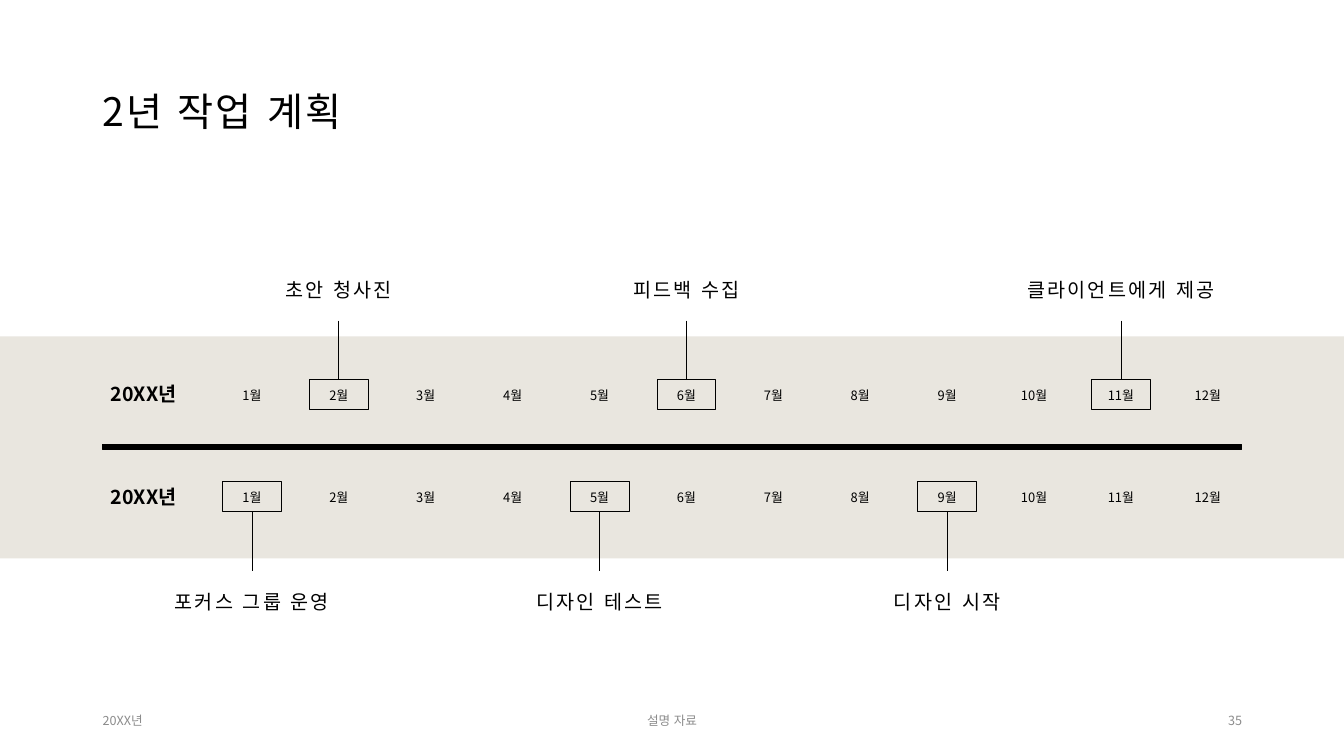
from dataclasses import dataclass

from lxml.etree import SubElement
from pptx import Presentation
from pptx.dml.color import RGBColor as RGB
from pptx.enum.shapes import MSO_CONNECTOR as CONN, MSO_SHAPE as SHAPE
from pptx.enum.text import MSO_ANCHOR as ANCHOR, MSO_AUTO_SIZE as AUTOSIZE, PP_ALIGN as ALIGN
from pptx.oxml.ns import qn
from pptx.util import Cm, Pt


@dataclass(frozen=True)
class Theme:
    """Colours, font and type sizes of the slide."""
    font: str = "Noto Sans CJK KR"
    ink: RGB = RGB(0x00, 0x00, 0x00)
    band: RGB = RGB(0xE9, 0xE6, 0xDF)
    muted: RGB = RGB(0x8C, 0x8C, 0x8C)
    title: float = 28
    label: float = 14
    month: float = 9.2
    footer: float = 9


@dataclass(frozen=True)
class YearRow:
    """Vertical positions in cm and milestones by month of one year."""
    year_top: float
    month_top: float
    marker_top: float
    stem: tuple
    caption_top: float
    caption_anchor: ANCHOR
    milestones: dict


THEME = Theme()
SLIDE_W, SLIDE_H = 33.87, 19.05
FIRST_MONTH, MONTH_STEP = 6.35, 2.19
MONTH_W, MARKER_W, CAPTION_W = 1.78, 1.48, 5.72
ROWS = (
    YearRow(9.32, 9.73, 9.55, (8.08, 9.55), 6.17, ANCHOR.BOTTOM,
            {2: "초안 청사진", 6: "피드백 수집", 11: "클라이언트에게 제공"}),
    YearRow(11.91, 12.29, 12.12, (12.88, 14.38), 14.45, ANCHOR.TOP,
            {1: "포커스 그룹 운영", 5: "디자인 테스트", 9: "디자인 시작"}),
)


def month_center(month):
    """Return the horizontal centre of a month in cm."""
    return FIRST_MONTH + (month - 1) * MONTH_STEP


def write(sp, text, size, color=THEME.ink, bold=False, align=ALIGN.LEFT,
          anchor=ANCHOR.MIDDLE, leading=1.0, before=0, tracking=0):
    """Put one formatted paragraph into a shape."""
    tf = sp.text_frame
    tf.word_wrap = True
    tf.auto_size = AUTOSIZE.NONE
    tf.vertical_anchor = anchor
    p = tf.paragraphs[0]
    p.alignment, p.line_spacing, p.space_before = align, leading, Pt(before)
    r = p.add_run()
    r.text = text
    r.font.name, r.font.size, r.font.bold = THEME.font, Pt(size), bold
    r.font.color.rgb = color
    rpr = r.font._element
    rpr.set("lang", "ko-KR")
    rpr.set("spc", str(round(tracking * 100)))
    SubElement(rpr, qn("a:ea")).set("typeface", THEME.font)


def add_text(s, box, text, size, **fmt):
    """Add a text box at a left, top, width, height in cm."""
    write(s.shapes.add_textbox(*map(Cm, box)), text, size, **fmt)


def add_rect(s, box, fill=None, line=None):
    """Add a rectangle with an optional fill colour and line width."""
    sp = s.shapes.add_shape(SHAPE.RECTANGLE, *map(Cm, box))
    sp.shadow.inherit = False
    if fill is None:
        sp.fill.background()
    else:
        sp.fill.solid()
        sp.fill.fore_color.rgb = fill
    if line is None:
        sp.line.fill.background()
    else:
        sp.line.color.rgb = THEME.ink
        sp.line.width = Pt(line)


def add_stem(s, x, top, bottom):
    """Add a thin vertical line."""
    line = s.shapes.add_connector(CONN.STRAIGHT, Cm(x), Cm(top), Cm(x), Cm(bottom))
    line.line.color.rgb = THEME.ink
    line.line.width = Pt(0.5)
    SubElement(line._element.spPr, qn("a:effectLst"))


def add_title(s, text):
    """Move and fill the title placeholder."""
    sp = s.shapes.title
    sp.left, sp.top, sp.width, sp.height = map(Cm, (2.34, 1.02, 29.21, 3.68))
    write(sp, text, THEME.title, leading=0.9, tracking=1.5)


def add_milestone(s, row, month, caption):
    """Add the caption, stem and frame of one marked month."""
    x = month_center(month)
    add_text(s, (x - CAPTION_W / 2, row.caption_top, CAPTION_W, 1.55), caption,
             THEME.label, align=ALIGN.CENTER, anchor=row.caption_anchor,
             leading=1.5, before=10, tracking=1.5)
    add_stem(s, x, *row.stem)
    add_rect(s, (x - MARKER_W / 2, row.marker_top, MARKER_W, 0.76), line=0.5)


def add_year(s, row):
    """Add the year label, its twelve months and its milestones."""
    add_text(s, (2.54, row.year_top, 2.49, 1.27), "20XX년", THEME.label,
             bold=True, leading=0.9, before=10)
    for month in range(1, 13):
        left = month_center(month) - MONTH_W / 2
        add_text(s, (left, row.month_top, MONTH_W, 0.56), f"{month}월", THEME.month,
                 align=ALIGN.CENTER, anchor=ANCHOR.TOP, leading=0.8, before=10)
    for month, caption in row.milestones.items():
        add_milestone(s, row, month, caption)


def add_footer(s):
    """Add the date, footer text and page number."""
    for left, width, text, align in ((2.34, 7.62, "20XX년", ALIGN.LEFT),
                                     (11.22, 11.43, "설명 자료", ALIGN.CENTER),
                                     (23.93, 7.62, "35", ALIGN.RIGHT)):
        add_text(s, (left, 17.65, width, 1.02), text, THEME.footer,
                 color=THEME.muted, align=align)


def main():
    """Build the two-year plan slide."""
    prs = Presentation()
    prs.slide_width, prs.slide_height = Cm(SLIDE_W), Cm(SLIDE_H)
    s = prs.slides.add_slide(prs.slide_layouts[5])
    add_rect(s, (0, 8.48, SLIDE_W, 5.59), fill=THEME.band)
    add_rect(s, (2.59, 11.2, 28.7, 0.13), fill=THEME.ink, line=1)
    add_title(s, "2년 작업 계획")
    for row in ROWS:
        add_year(s, row)
    add_footer(s)
    prs.save("out.pptx")


if __name__ == "__main__":
    main()
